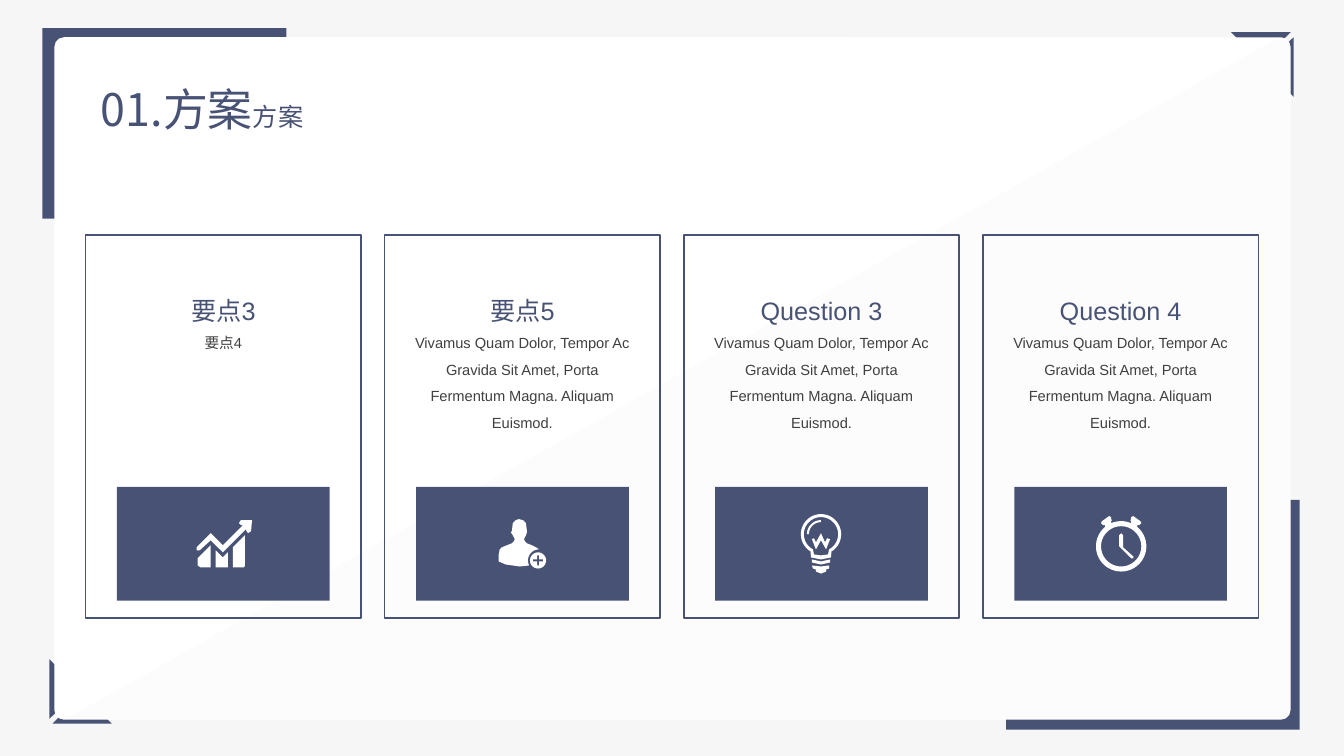
from math import cos, radians, sin

from lxml import etree
from pptx import Presentation
from pptx.dml.color import RGBColor
from pptx.enum.shapes import MSO_SHAPE as Preset
from pptx.enum.text import MSO_ANCHOR as Anchor, MSO_AUTO_SIZE as AutoSize, PP_ALIGN as Align
from pptx.oxml.ns import qn
from pptx.util import Inches, Pt

NAVY = RGBColor(0x48, 0x52, 0x75)
WHITE = RGBColor(0xFF, 0xFF, 0xFF)
PALE = RGBColor(0xF6, 0xF6, 0xF6)
SHEEN = RGBColor(0xF2, 0xF2, 0xF2)
BODY_GREY = RGBColor(0x40, 0x40, 0x40)
LATIN_FONT, CJK_FONT = "Arial", "Noto Sans CJK SC"


def arc(x, y, radius, start=0, end=360):
    """Points along a circle, clockwise from the right, angles in degrees."""
    steps = 36
    angles = [radians(start + (end - start) * i / steps) for i in range(steps + 1)]
    return [(x + radius * cos(a), y + radius * sin(a)) for a in angles]


# Content
TITLE = [("01.方案", 32, CJK_FONT), ("方案", 18, LATIN_FONT)]
FILLER = ("Vivamus Quam Dolor, Tempor Ac Gravida Sit Amet, Porta "
          "Fermentum Magna. Aliquam Euismod.")

# Icon outlines, in inches from the icon corner
GROWTH = [
    [(.11, .61), (.14, .63), (.24, .63), (.24, .41), (.11, .54)],
    [(.29, .46), (.29, .63), (.41, .63), (.41, .48), (.36, .53)],
    [(.46, .43), (.46, .63), (.57, .63), (.58, .61), (.58, .31), (.48, .41)],
    [(.54, .16), (.52, .19), (.54, .21), (.56, .21), (.36, .41), (.24, .29),
     (.10, .43), (.10, .46), (.13, .46), (.24, .36), (.36, .48), (.60, .24),
     (.59, .26), (.61, .29), (.64, .27), (.65, .16)],
]
ADD_USER = [
    [(.30, .16), (.27, .19), (.26, .27), (.25, .28), (.27, .31), (.29, .35),
     (.28, .37), (.26, .39), (.21, .41), (.16, .43), (.14, .45), (.13, .50),
     (.13, .57), (.20, .60), (.34, .62), (.43, .61)]
    + arc(.53, .56, .11, 170, 270)
    + [(.50, .43), (.46, .41), (.41, .39), (.39, .37), (.38, .35), (.40, .31),
       (.41, .28), (.41, .27), (.40, .19), (.37, .16), (.33, .15)],
    arc(.52, .56, .08),
    [(.57, .57), (.53, .57), (.53, .61), (.51, .61), (.51, .57), (.47, .57),
     (.47, .55), (.51, .55), (.51, .51), (.53, .51), (.53, .55), (.57, .55)],
]
BULB = [
    arc(.36, .30, .2, 121, 419) + [(.46, .53), (.36, .55), (.26, .53)],
    arc(.36, .30, .17, 118, 422) + [(.43, .50), (.36, .51), (.29, .50)],
    [(.27, .55), (.27, .58), (.36, .60), (.45, .58), (.45, .55), (.36, .57)],
    [(.27, .61), (.28, .64), (.31, .65), (.31, .67), (.36, .69), (.41, .67),
     (.41, .65), (.44, .64), (.44, .61), (.36, .62)],
    arc(.36, .30, .14, 180, 270) + arc(.36, .30, .12, 270, 180),
    [(.40, .38), (.36, .29), (.31, .38), (.29, .34), (.27, .35), (.31, .45),
     (.36, .36), (.41, .45), (.45, .35), (.42, .34)],
]
RIGHT_BELL = [(.47, .17), (.46, .16), (.47, .15), (.47, .13), (.49, .12),
              (.56, .17), (.57, .19), (.56, .20), (.55, .21), (.53, .21)]
LEFT_BELL = [(.74 - x, y) for x, y in reversed(RIGHT_BELL)]
ALARM = [
    arc(.37, .42, .25, -51, 231) + LEFT_BELL + arc(.37, .42, .25, 247, 293) + RIGHT_BELL,
    arc(.37, .42, .2),
    [(.39, .43), (.39, .31), (.37, .29), (.35, .31), (.35, .42), (.37, .44),
     (.47, .54), (.49, .54), (.49, .52)],
]
CARDS = [
    ("要点3", "要点4", GROWTH),
    ("要点5", FILLER, ADD_USER),
    ("Question 3", FILLER, BULB),
    ("Question 4", FILLER, ALARM),
]

# Frame geometry
CORNER = [
    [(12.36, .47), (12.65, .47), (12.8, .32), (12.21, .32)],
    [(12.83, .96), (12.83, .37), (12.68, .51), (12.68, .81)],
]
OPPOSITE_CORNER = [[(13.32 - x, 7.5 - y) for x, y in part] for part in CORNER]
DIAGONAL = [[(12.69, .37), (12.77, .39), (12.8, .46), (12.8, 7.04),
             (12.77, 7.11), (12.7, 7.13), (.66, 7.13)]]
CARD_TOP, CARD_WIDTH, CARD_HEIGHT = 2.33, 2.73, 3.8
FIRST_LEFT, LAST_LEFT = .85, 9.75
TILE_WIDTH, TEXT_WIDTH = 2.11, 2.33


def paint(shape, fill=None, line=None):
    shape.shadow.inherit = False
    if fill is None:
        shape.fill.background()
    else:
        shape.fill.solid()
        shape.fill.fore_color.rgb = fill
    if line is None:
        shape.line.fill.background()
    else:
        shape.line.color.rgb = line
        shape.line.width = Pt(1)
    return shape


def add_block(page, bounds, preset=Preset.RECTANGLE, fill=None, line=None):
    shape = page.shapes.add_shape(preset, *[Inches(v) for v in bounds])
    return paint(shape, fill, line)


def add_outline(page, contours, fill, left=0, top=0):
    placed = [[(Inches(left + x), Inches(top + y)) for x, y in part] for part in contours]
    builder = page.shapes.build_freeform(*placed[0][0], scale=1.0)
    for number, points in enumerate(placed):
        if number:
            builder.move_to(*points[0])
        builder.add_line_segments(points[1:], close=True)
    return paint(builder.convert_to_shape(), fill)


def add_span(para, text, size, color, font=LATIN_FONT):
    span = para.add_run()
    span.text = text
    span.font.size = Pt(size)
    span.font.color.rgb = color
    span.font.name = font
    latin = span.font._element.find(qn("a:latin"))
    east_asian = etree.Element(qn("a:ea"), typeface=CJK_FONT)
    latin.addnext(east_asian)


def add_frame(page):
    add_block(page, (.42, .28, 2.42, 1.89), fill=NAVY)
    add_block(page, (9.98, 4.96, 2.91, 2.28), fill=NAVY)
    for corner in (CORNER, OPPOSITE_CORNER):
        add_outline(page, corner, NAVY)
    panel = add_block(page, (.54, .37, 12.26, 6.77), Preset.ROUNDED_RECTANGLE, WHITE)
    panel.adjustments[0] = .014
    sheen = add_outline(page, DIAGONAL, SHEEN)
    color = sheen._element.spPr.find(qn("a:solidFill"))[0]
    etree.SubElement(color, qn("a:alpha"), val="16000")


def add_title(page):
    title = page.shapes.title
    title.left, title.top, title.width, title.height = map(Inches, (.9, .76, 5.75, .64))
    frame = title.text_frame
    frame.auto_size = AutoSize.NONE
    frame.vertical_anchor = Anchor.MIDDLE
    para = frame.paragraphs[0]
    para.alignment = Align.LEFT
    for text, size, font in TITLE:
        add_span(para, text, size, NAVY, font)
    # Bring the title in front of the white panel
    title._element.getparent().append(title._element)


def add_card(page, left, heading, body, icon):
    add_block(page, (left, CARD_TOP, CARD_WIDTH, CARD_HEIGHT), line=NAVY)
    add_block(page, (left + (CARD_WIDTH - TILE_WIDTH) / 2, 4.83, TILE_WIDTH, 1.13), fill=NAVY)
    text_left = left + (CARD_WIDTH - TEXT_WIDTH) / 2
    box = page.shapes.add_textbox(*map(Inches, (text_left, 2.73, TEXT_WIDTH, 1.62)))
    frame = box.text_frame
    frame.word_wrap = True
    frame.auto_size = AutoSize.SHAPE_TO_FIT_TEXT
    lines = [(heading, 18, NAVY), (body, 10.5, BODY_GREY)]
    for para, line in zip((frame.paragraphs[0], frame.add_paragraph()), lines):
        para.alignment = Align.CENTER
        para.line_spacing = 1.5
        add_span(para, *line)
    add_outline(page, icon, WHITE, left + 1, 5)


def main():
    deck = Presentation()
    deck.slide_width, deck.slide_height = Inches(13.33), Inches(7.5)
    page = deck.slides.add_slide(deck.slide_layouts[5])
    page.background.fill.solid()
    page.background.fill.fore_color.rgb = PALE
    add_frame(page)
    add_title(page)
    pitch = (LAST_LEFT - FIRST_LEFT) / (len(CARDS) - 1)
    for column, card in enumerate(CARDS):
        add_card(page, FIRST_LEFT + column * pitch, *card)
    deck.save("out.pptx")


if __name__ == "__main__":
    main()
